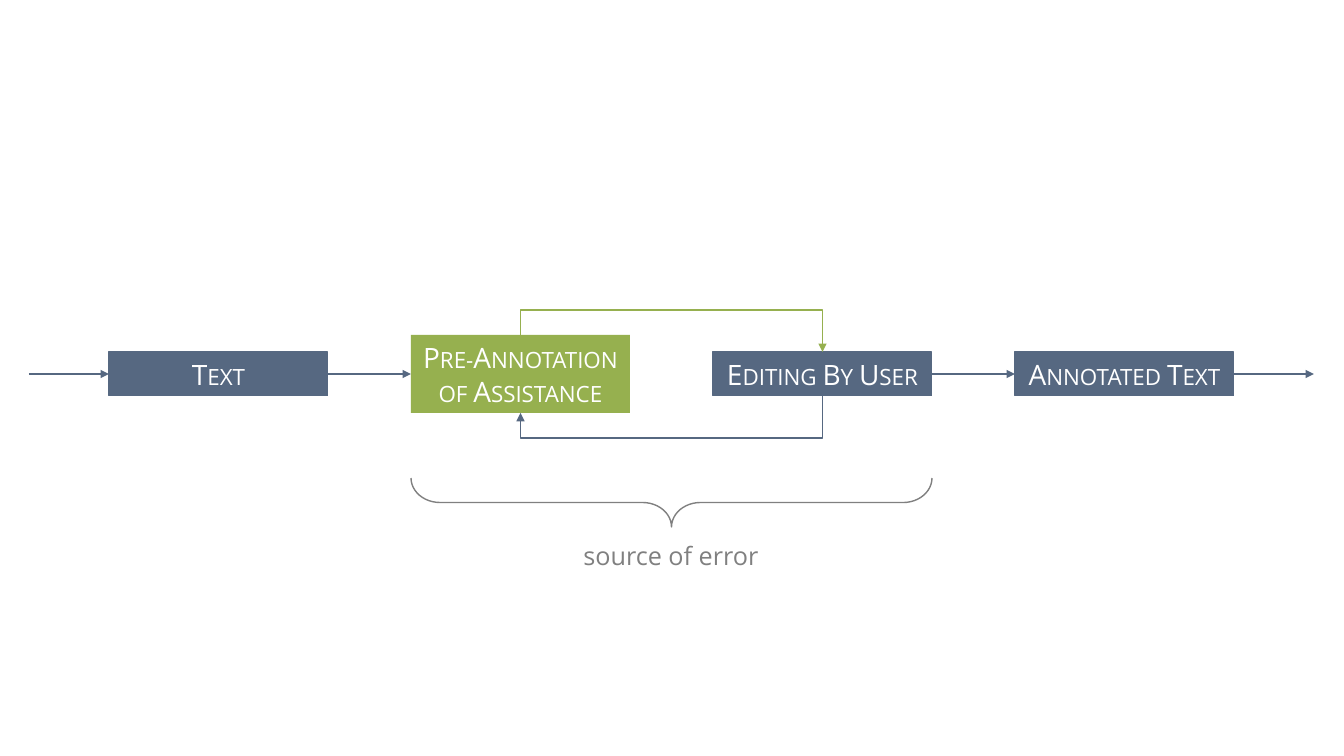
import pptx
import pptx.util
import pptx.dml.color
import pptx.enum.shapes
import pptx.enum.text
import pptx.oxml.ns
import pptx.oxml.xmlchemy

RGBColor = pptx.dml.color.RGBColor
SHAPE = pptx.enum.shapes.MSO_SHAPE
LINK = pptx.enum.shapes.MSO_CONNECTOR
TEXT = pptx.enum.text
qn = pptx.oxml.ns.qn

BLUE = RGBColor(0x56, 0x68, 0x81)
GREEN = RGBColor(0x96, 0xB0, 0x4F)
GRAY = RGBColor(0x80, 0x80, 0x80)
WHITE = RGBColor(0xFF, 0xFF, 0xFF)
FONT = "Open Sans"
LEFT, RIGHT = 1, 3
STEPS = [
    ("Text", 44, BLUE),
    ("Pre-Annotation of Assistance", 78, GREEN),
    ("Editing By User", 44, BLUE),
    ("Annotated Text", 44, BLUE),
]


def px(n):
    return round(n * 914400 / 100.8)


def add_xml(parent, tag, **attrs):
    el = pptx.oxml.xmlchemy.OxmlElement(tag)
    for name, value in attrs.items():
        el.set(name, value)
    parent.append(el)


def write(tf, text, size, color):
    p = tf.paragraphs[0]
    r = p.add_run()
    r.text = text
    for name, value in {"name": FONT, "size": pptx.util.Pt(size)}.items():
        setattr(r.font, name, value)
    r.font.color.rgb = color
    return p, r


def add_step(s, x, y, w, h, text, color):
    sp = s.shapes.add_shape(SHAPE.RECTANGLE, px(x), px(y), px(w), px(h))
    sp.shadow.inherit = False
    sp.fill.solid()
    sp.fill.fore_color.rgb = color
    if color == BLUE:
        sp.line.color.rgb = color
        sp.line.width = pptx.util.Pt(0.75)
    else:
        sp.line.fill.background()
    tf = sp.text_frame
    settings = {
        "word_wrap": True,
        "vertical_anchor": TEXT.MSO_ANCHOR.MIDDLE,
        "auto_size": TEXT.MSO_AUTO_SIZE.SHAPE_TO_FIT_TEXT,
    }
    for name, value in settings.items():
        setattr(tf, name, value)
    p, r = write(tf, text, 20, WHITE)
    p.alignment = TEXT.PP_ALIGN.CENTER
    r.font._element.set("cap", "small")
    return sp


def add_arrow(s, kind, x1, y1, x2, y2, color):
    c = s.shapes.add_connector(kind, px(x1), px(y1), px(x2), px(y2))
    c.line.color.rgb = color
    c.line.width = pptx.util.Pt(1)
    add_xml(c.line._get_or_add_ln(), "a:tailEnd", type="triangle")
    add_xml(c._element.spPr, "a:effectLst")
    return c


def add_loop(s, x1, y1, x2, y2, rise, color):
    c = add_arrow(s, LINK.ELBOW, x1, y1, x2, y2, color)
    drop, span = y2 - y1, abs(x2 - x1)
    forward = x2 > x1
    place = {
        "left": px((x1 + x2 - drop) / 2),
        "top": px((y1 + y2 - span) / 2),
        "width": px(drop),
        "height": px(span),
    }
    for name, value in place.items():
        setattr(c, name, value)
    xfrm = c._element.spPr.find(qn("a:xfrm"))
    xfrm.set("rot", "16200000" if forward else "5400000")
    xfrm.set("flipH", "1" if forward else "0")
    bend = -rise / drop if forward else (drop + rise) / drop
    guides = c._element.spPr.find(qn("a:prstGeom")).find(qn("a:avLst"))
    add_xml(guides, "a:gd", name="adj1", fmla=f"val {round(bend * 100000)}")


def add_process(s, x, y, w, h):
    mid, step_w = y + h / 2, 219
    pitch = (w - step_w) / (len(STEPS) - 1)
    lefts = [x + i * pitch for i in range(len(STEPS))]
    steps = [add_step(s, left, mid - height / 2, step_w, height, text, color)
             for left, (text, height, color) in zip(lefts, STEPS)]
    add_arrow(s, LINK.STRAIGHT, x - 80, mid, x, mid, BLUE)
    for i in (0, 2):
        c = add_arrow(s, LINK.STRAIGHT, lefts[i] + step_w, mid, lefts[i + 1], mid, BLUE)
        c.begin_connect(steps[i], RIGHT)
        c.end_connect(steps[i + 1], LEFT)
    add_arrow(s, LINK.STRAIGHT, x + w, mid, x + w + 80, mid, BLUE)
    pre, edit = (lefts[i] + step_w / 2 for i in (1, 2))
    tall, low = STEPS[1][1] / 2, STEPS[2][1] / 2
    add_loop(s, pre, mid - tall, edit, mid - low, 25, GREEN)
    add_loop(s, edit, mid + low, pre, mid + tall, 25, BLUE)


def add_error_source(s, x, y, w, h):
    depth = 49
    sp = s.shapes.add_shape(SHAPE.RIGHT_BRACE, px(x + (w - depth) / 2),
                            px(y + (depth - w) / 2), px(depth), px(w))
    sp.rotation = 90
    sp.shadow.inherit = False
    sp.fill.background()
    sp.line.color.rgb = GRAY
    sp.line.width = pptx.util.Pt(1)
    sp.adjustments[0] = 0.59
    label_w, label_h = 198, 40
    tb = s.shapes.add_textbox(px(x + (w - label_w) / 2 + 1), px(y + h - label_h),
                              px(label_w), px(label_h))
    tb.text_frame.word_wrap = False
    tb.text_frame.auto_size = TEXT.MSO_AUTO_SIZE.SHAPE_TO_FIT_TEXT
    write(tb.text_frame, "source of error", 18, GRAY)


prs = pptx.Presentation()
prs.slide_width, prs.slide_height = px(1344), px(756)
s = prs.slides.add_slide(prs.slide_layouts[6])
add_process(s, 109, 335, 1125, 78)
add_error_source(s, 411, 478, 521, 97)
prs.save("out.pptx")
